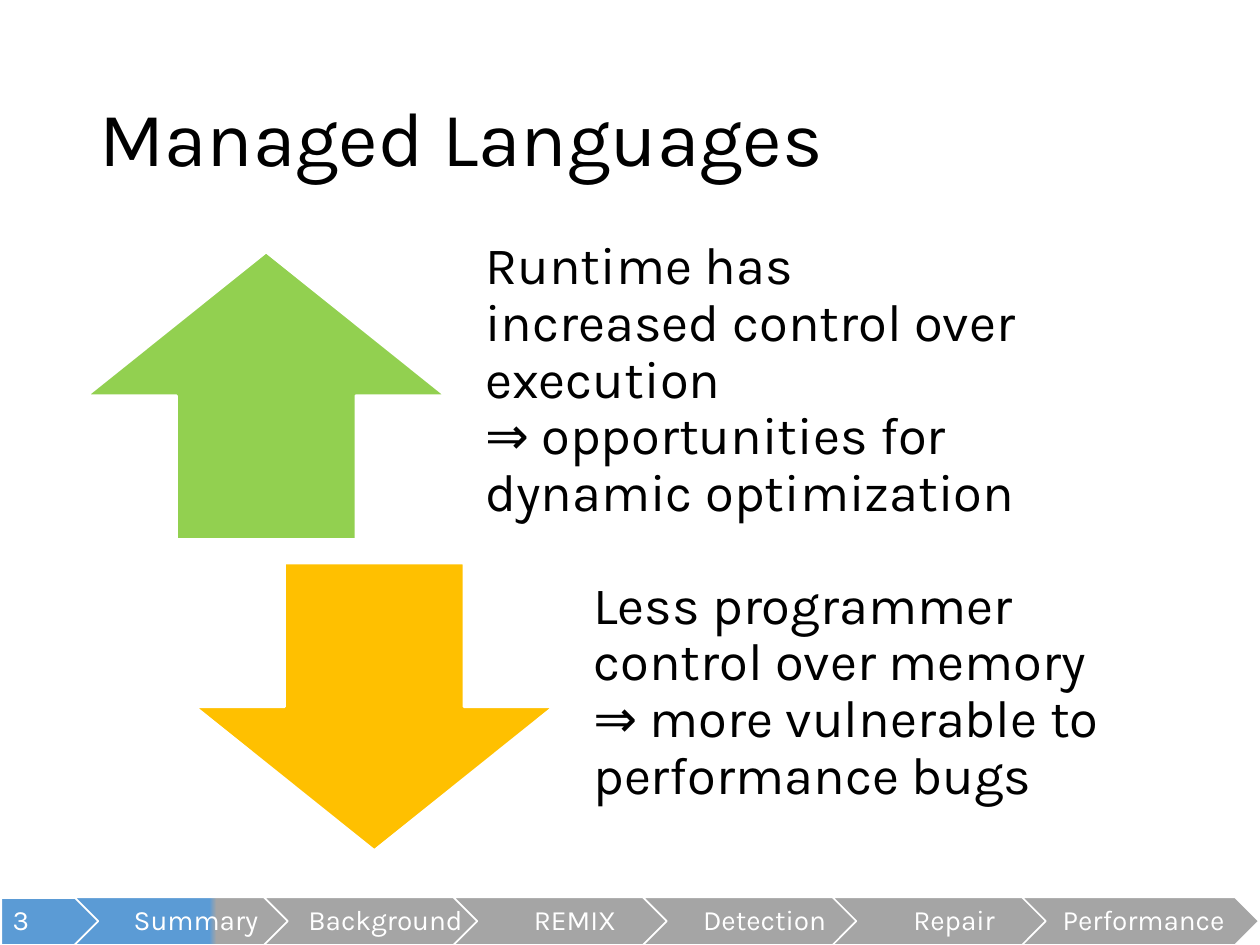
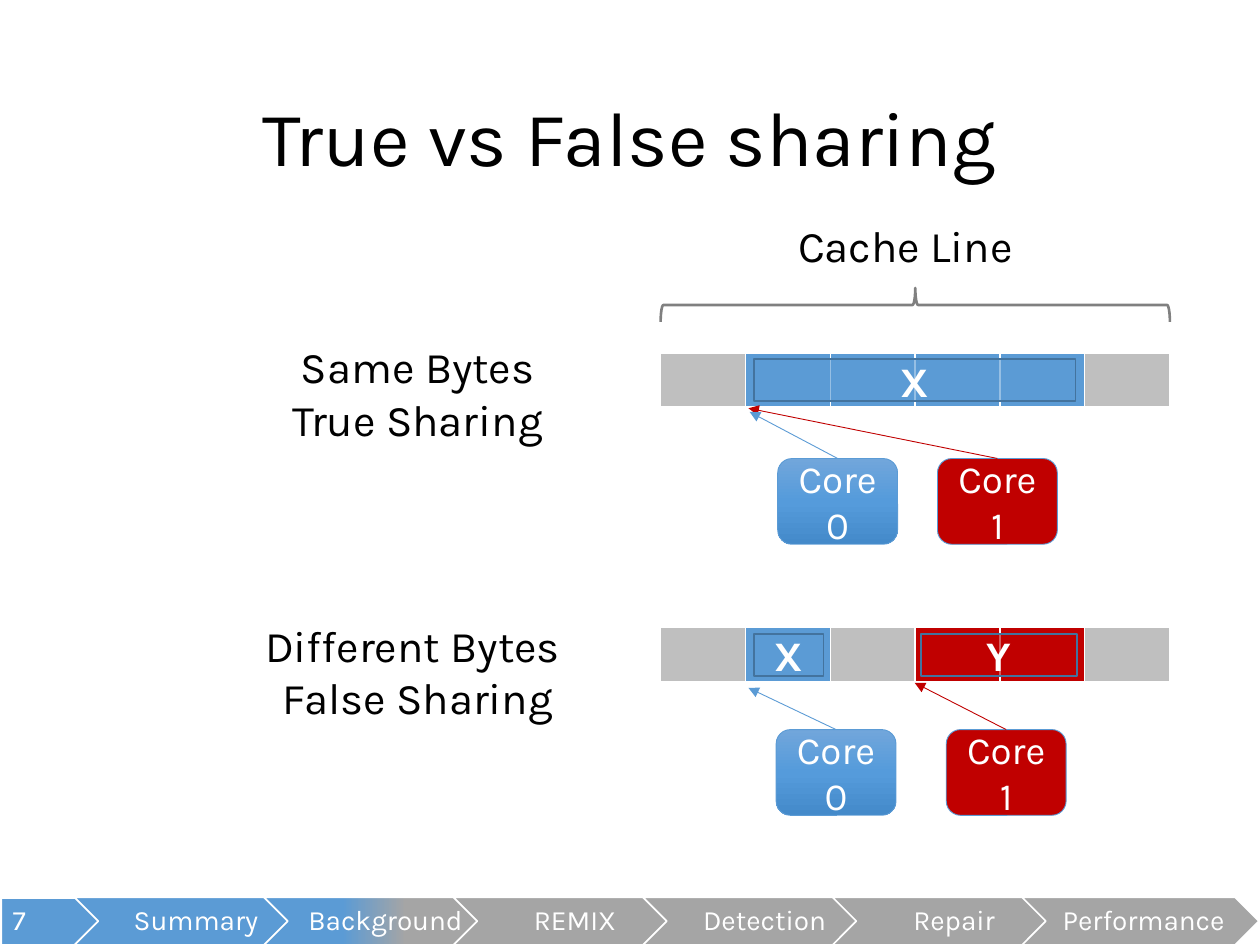
from pptx import Presentation
from pptx.dml.color import RGBColor
from pptx.enum.shapes import MSO_CONNECTOR, MSO_SHAPE
from pptx.enum.text import MSO_ANCHOR, MSO_AUTO_SIZE, PP_ALIGN
from pptx.oxml import parse_xml
from pptx.oxml.ns import nsdecls, qn
from pptx.util import Pt
from lxml.etree import SubElement

FONT = "Karla"
BLACK = RGBColor(0x00, 0x00, 0x00)
WHITE = RGBColor(0xFF, 0xFF, 0xFF)
BLUE = RGBColor(0x5B, 0x9B, 0xD5)
LIGHT_BLUE = RGBColor(0x71, 0xA6, 0xDB)
MID_BLUE = RGBColor(0x55, 0x9B, 0xDB)
DEEP_BLUE = RGBColor(0x44, 0x8A, 0xCA)
EDGE_BLUE = RGBColor(0x43, 0x73, 0x9E)
RED = RGBColor(0xC0, 0x00, 0x00)
GREEN = RGBColor(0x92, 0xD0, 0x50)
AMBER = RGBColor(0xFF, 0xC0, 0x00)
GREY = RGBColor(0xA5, 0xA5, 0xA5)
LIGHT_GREY = RGBColor(0xBF, 0xBF, 0xBF)
DARK_GREY = RGBColor(0x80, 0x80, 0x80)

STAGES = ["Summary", "Background", "REMIX", "Detection", "Repair", "Performance"]
STAGE_LEFT, STAGE_TOP, STAGE_STEP = 42.5, 512.7, 108.3
CORE_GRADIENT = [(0, LIGHT_BLUE), (50, MID_BLUE), (100, DEEP_BLUE)]

EFFECTS = [
    (MSO_SHAPE.UP_ARROW, GREEN, 49.6, 144,
     "Runtime has increased control over execution\v"
     "⇒ opportunities for dynamic optimization"),
    (MSO_SHAPE.DOWN_ARROW, AMBER, 111.4, 321.8,
     "Less programmer control over memory\v⇒ more vulnerable to performance bugs"),
]

LINE_LEFT, LINE_WIDTH, LINE_HEIGHT = 377.5, 291, 31.7
CORE_WIDTH, CORE_HEIGHT = 68.5, 49
SCENES = [
    {
        "label": ["Same Bytes", "True Sharing"], "label_top": 190.8,
        "line_top": 201.6, "core_top": 262,
        "bytes": [LIGHT_GREY, BLUE, BLUE, BLUE, BLUE, LIGHT_GREY],
        "variables": [("X", 431, 183.6, BLUE)],
        "cores": [("1", 535.7, RED, (427.7, 233.3)),
                  ("0", 444.4, BLUE, (428.4, 235.4))],
    },
    {
        "label": ["Different Bytes ", "False Sharing"], "label_top": 349.9,
        "line_top": 358.6, "core_top": 416.9,
        "bytes": [LIGHT_GREY, BLUE, LIGHT_GREY, RED, RED, LIGHT_GREY],
        "variables": [("X", 431, 39.6, BLUE), ("Y", 526.3, 89.3, RED)],
        "cores": [("1", 540.7, RED, (522.7, 390.2)),
                  ("0", 443.5, BLUE, (427.7, 393.1))],
    },
]


def write(frame, lines, size, color, align=PP_ALIGN.CENTER, spacing=1.0,
          bold=False, anchor=MSO_ANCHOR.MIDDLE, margins=(7.2, 3.6, 7.2, 3.6)):
    frame.word_wrap = True
    frame.auto_size = MSO_AUTO_SIZE.NONE
    frame.vertical_anchor = anchor
    (frame.margin_left, frame.margin_top,
     frame.margin_right, frame.margin_bottom) = map(Pt, margins)
    for index, line in enumerate(lines):
        para = frame.add_paragraph() if index else frame.paragraphs[0]
        para.alignment = align
        para.line_spacing = spacing
        for part_index, part in enumerate(line.split("\v")):
            if part_index:
                para.add_line_break()
            span = para.add_run()
            span.text = part
            span.font.name = FONT
            span.font.size = Pt(size)
            span.font.bold = bold
            span.font.color.rgb = color


def add_text(page, left, top, width, height, lines, size, **style):
    box = page.shapes.add_textbox(Pt(left), Pt(top), Pt(width), Pt(height))
    write(box.text_frame, lines, size, BLACK, **style)


def set_gradient(shape, stops, angle):
    shape.fill.gradient()
    shape.fill.gradient_angle = angle
    stop_list = shape._element.spPr.find(qn("a:gradFill")).find(qn("a:gsLst"))
    for stop in list(stop_list):
        stop_list.remove(stop)
    for position, color in stops:
        stop_list.append(parse_xml(
            f'<a:gs {nsdecls("a")} pos="{position * 1000}">'
            f'<a:srgbClr val="{color}"/></a:gs>'))


def add_figure(page, kind, left, top, width, height, fill, line, line_width):
    shape = page.shapes.add_shape(kind, Pt(left), Pt(top), Pt(width), Pt(height))
    shape.shadow.inherit = False
    if fill is None:
        shape.fill.background()
    else:
        shape.fill.solid()
        shape.fill.fore_color.rgb = fill
    shape.line.color.rgb = line
    shape.line.width = Pt(line_width)
    return shape


def add_arrow(page, start, end, color):
    arrow = page.shapes.add_connector(
        MSO_CONNECTOR.STRAIGHT, *map(Pt, start), *map(Pt, end))
    arrow.line.color.rgb = color
    arrow.line.width = Pt(0.5)
    SubElement(arrow.line._get_or_add_ln(), qn("a:tailEnd"), type="triangle")
    SubElement(arrow._element.spPr, qn("a:effectLst"))


def add_page(deck, title, align):
    page = deck.slides.add_slide(deck.slide_layouts[5])
    holder = page.shapes.title
    holder.left, holder.top, holder.width, holder.height = map(
        Pt, (49.5, 28.8, 621, 104.4))
    write(holder.text_frame, [title], 44, BLACK, align, 0.9)
    return page


def add_progress(page, number, current, fade_start):
    plate = add_figure(page, MSO_SHAPE.PENTAGON, 0.7, 513.2, 69, 26.8, BLUE, WHITE, 1)
    write(plate.text_frame, [number], 16, WHITE, PP_ALIGN.LEFT, 0.9,
          margins=(6.5, 3.6, 1.4, 3.6))
    for index, stage in enumerate(STAGES):
        chevron = add_figure(
            page, MSO_SHAPE.CHEVRON, STAGE_LEFT + index * STAGE_STEP, STAGE_TOP,
            135.4, 27.3, BLUE if index < current else GREY, WHITE, 1)
        if index == current:
            set_gradient(chevron, [(0, BLUE), (fade_start, BLUE),
                                   (60, GREY), (100, GREY)], 0)
        write(chevron.text_frame, [stage], 16, WHITE, spacing=0.9,
              margins=(5, 3.6, 1.4, 3.6))


def add_cache_line(page, top, colors):
    frame = page.shapes.add_table(1, len(colors), Pt(LINE_LEFT), Pt(top),
                                  Pt(LINE_WIDTH), Pt(LINE_HEIGHT))
    table = frame.table
    table.first_row = table.horz_banding = False
    for cell, color in zip(table.rows[0].cells, colors):
        properties = cell._tc.get_or_add_tcPr()
        for side, width in (("L", 1), ("R", 1), ("T", 1), ("B", 3)):
            properties.append(parse_xml(
                f'<a:ln{side} {nsdecls("a")} w="{Pt(width)}"><a:solidFill>'
                f'<a:srgbClr val="{WHITE}"/></a:solidFill></a:ln{side}>'))
        cell.fill.solid()
        cell.fill.fore_color.rgb = color


def add_variable(page, top, name, left, width, color):
    block = add_figure(page, MSO_SHAPE.RECTANGLE, left, top, width, 24.2,
                       color, EDGE_BLUE, 1)
    fill_color = block._element.spPr.find(qn("a:solidFill"))[0]
    SubElement(fill_color, qn("a:alpha"), val="64000")
    write(block.text_frame, [name], 24, WHITE, bold=True)


def add_core(page, top, name, left, color, target):
    core = add_figure(page, MSO_SHAPE.ROUNDED_RECTANGLE, left, top,
                      CORE_WIDTH, CORE_HEIGHT, color, BLUE, 0.5)
    if color == BLUE:
        set_gradient(core, CORE_GRADIENT, 270)
    write(core.text_frame, ["Core", name], 22, WHITE)
    add_arrow(page, (left + CORE_WIDTH / 2, top), target, color)


def build_languages(deck):
    page = add_page(deck, "Managed Languages", PP_ALIGN.LEFT)
    for kind, color, left, top, text in EFFECTS:
        add_figure(page, kind, left, top, 205, 164.2, color, WHITE, 1.5)
        add_text(page, left + 211.1, top, 347.8, 164.2, [text], 30,
                 align=PP_ALIGN.LEFT, spacing=0.9, margins=(16.6, 0, 16.6, 16.6))
    add_progress(page, "3", 0, 57)


def build_sharing(deck):
    page = add_page(deck, "True vs False sharing", PP_ALIGN.CENTER)
    for scene in SCENES:
        add_text(page, 76.3, scene["label_top"], 324.7, 67.7, scene["label"], 25,
                 anchor=MSO_ANCHOR.TOP)
        add_cache_line(page, scene["line_top"], scene["bytes"])
        for variable in scene["variables"]:
            add_variable(page, scene["line_top"] + 3.6, *variable)
        for core in scene["cores"]:
            add_core(page, scene["core_top"], *core)
    add_text(page, 355, 121.7, 324.7, 37.4, ["Cache Line"], 25, anchor=MSO_ANCHOR.TOP)
    brace = add_figure(page, MSO_SHAPE.LEFT_BRACE, 513.3, 28.8, 19.4, LINE_WIDTH,
                       None, DARK_GREY, 1.5)
    brace.rotation = 90
    add_progress(page, "7", 1, 33)


def main():
    deck = Presentation()
    deck.slide_width, deck.slide_height = Pt(720), Pt(540)
    build_languages(deck)
    build_sharing(deck)
    deck.save("out.pptx")


if __name__ == "__main__":
    main()
